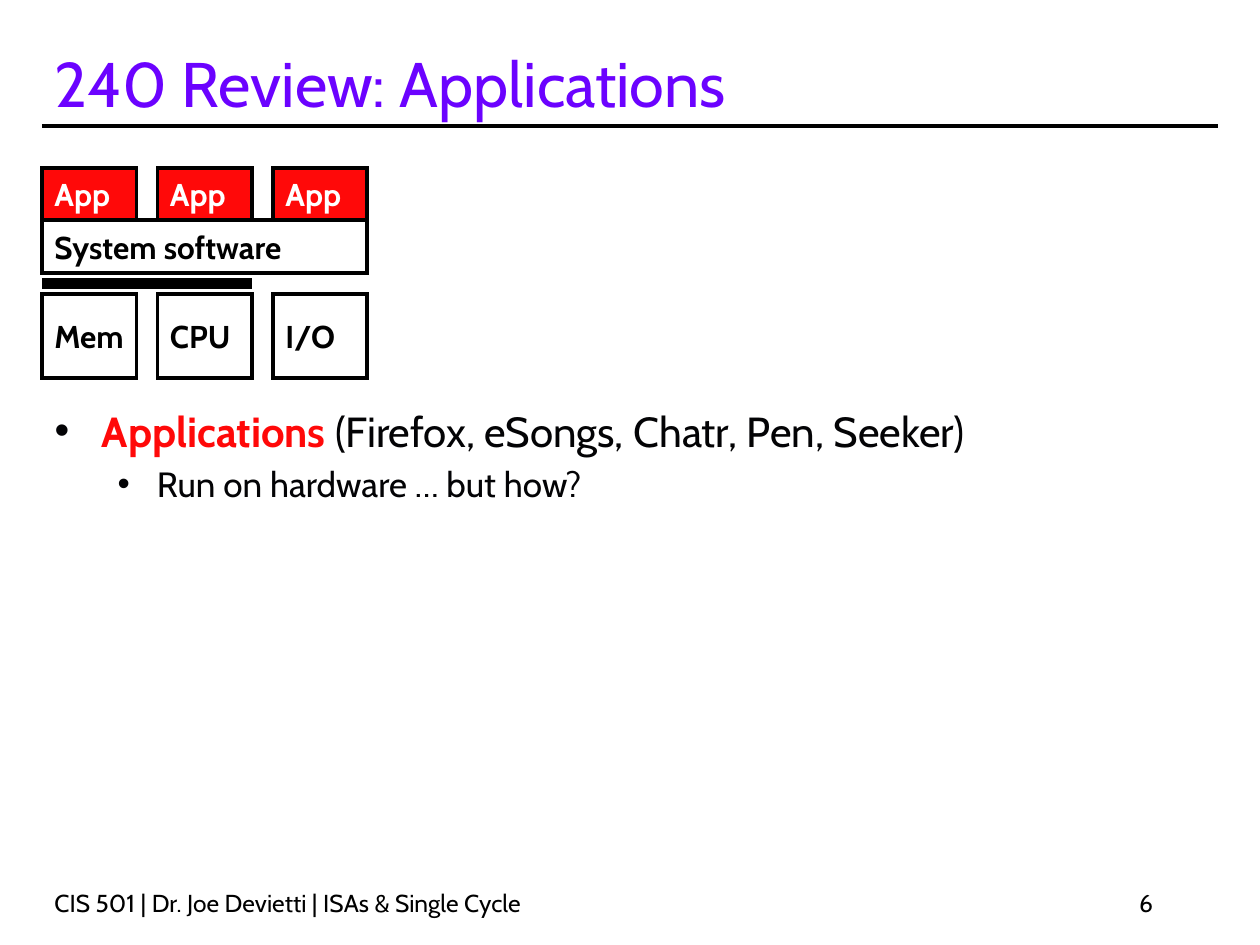
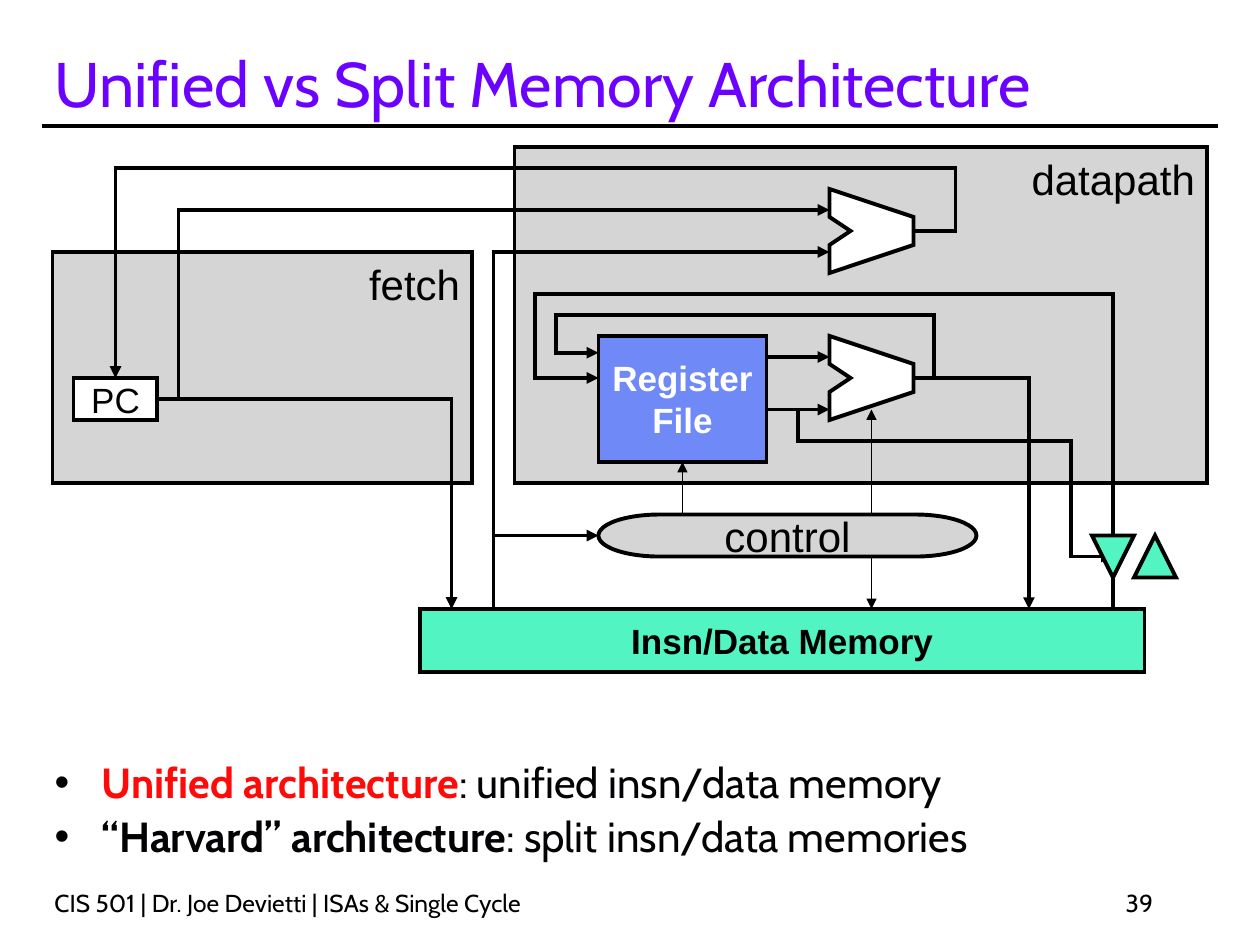
from lxml.etree import SubElement
from pptx import Presentation
from pptx.dml.color import RGBColor
from pptx.enum.shapes import MSO_CONNECTOR, MSO_SHAPE as SHAPE
from pptx.enum.text import MSO_ANCHOR as ANCHOR, MSO_AUTO_SIZE as FIT, PP_ALIGN as ALIGN
from pptx.oxml.ns import qn
from pptx.util import Cm, Pt

BLACK = RGBColor(0x00, 0x00, 0x00)
INK = RGBColor(0x03, 0x03, 0x05)
WHITE = RGBColor(0xFF, 0xFF, 0xFF)
RED = RGBColor(0xFF, 0x09, 0x09)
PURPLE = RGBColor(0x6B, 0x02, 0xFF)
GREY = RGBColor(0xD5, 0xD5, 0xD5)
BLUE = RGBColor(0x6F, 0x89, 0xF7)
GREEN = RGBColor(0x52, 0xF4, 0xC2)
SANS = "Cabin"
PLAIN = "Arial"
STROKE = 2.25
FOOTER = "CIS 501 | Dr. Joe Devietti | ISAs & Single Cycle"


def unit(count):
    """Turn grid steps, twelve to the inch, into a length."""
    return Cm(count * 2.54 / 12)


def place(item, left, top, width, height):
    """Move and size an item on the grid."""
    item.left, item.top = unit(left), unit(top)
    item.width, item.height = unit(width), unit(height)


def dot(para, level):
    """Give a paragraph its bullet and hanging indent."""
    props = para._p.get_or_add_pPr()
    left, hang = ((0.95, 0.95), (2.06, 0.79))[level]
    props.set("marL", str(Cm(left)))
    props.set("indent", str(-Cm(hang)))
    tint = SubElement(props, qn("a:buClr"))
    SubElement(tint, qn("a:srgbClr"), val=str(INK))
    SubElement(props, qn("a:buFont"), typeface=PLAIN)
    SubElement(props, qn("a:buChar"), char="•")


def write(item, *rows, size=18, font=SANS, tint=BLACK, bold=False,
          align=ALIGN.LEFT, anchor=ANCHOR.MIDDLE, wrap=True, levels=None, pitch=None):
    """Fill an item with rows, each a string or a list of (text, tint, bold)."""
    frame = item.text_frame
    frame.auto_size = FIT.NONE
    frame.word_wrap = wrap
    frame.vertical_anchor = anchor
    for index, row in enumerate(rows):
        para = frame.add_paragraph() if index else frame.paragraphs[0]
        level = levels[index] if levels else 0
        para.level = level
        para.alignment = align
        para.line_spacing = pitch
        points = size - 4 * level
        para.space_before = Pt(points / 5 if levels and index else 0)
        if levels:
            dot(para, level)
        for words, shade, heavy in [(row, tint, bold)] if isinstance(row, str) else row:
            run = para.add_run()
            run.text = words
            run.font.name, run.font.size = font, Pt(points)
            run.font.bold, run.font.color.rgb = heavy, shade


def ink(item, weight=STROKE, arrow=False):
    """Set a black outline with sharp corners and an optional arrowhead."""
    item.line.color.rgb = BLACK
    item.line.width = Pt(weight)
    stroke = item._element.spPr.find(qn("a:ln"))
    SubElement(stroke, qn("a:miter"), lim="800000")
    if arrow:
        SubElement(stroke, qn("a:tailEnd"), type="triangle")


def paint(item, fill=None, arrow=False):
    """Fill and outline a shape without a shadow."""
    item.shadow.inherit = False
    if fill is None:
        item.fill.background()
    else:
        item.fill.solid()
        item.fill.fore_color.rgb = fill
    ink(item, arrow=arrow)


def block(slide, left, top, width, height, *rows, fill=WHITE, kind=SHAPE.RECTANGLE, **style):
    """Draw a preset shape with optional text."""
    item = slide.shapes.add_shape(kind, *map(unit, (left, top, width, height)))
    paint(item, fill)
    if rows:
        write(item, *rows, wrap=False, **style)
    return item


def label(slide, left, top, width, height, words, **style):
    """Add a plain text box."""
    item = slide.shapes.add_textbox(*map(unit, (left, top, width, height)))
    write(item, words, **style)


def line(slide, start, end, weight=STROKE, arrow=False):
    """Draw a straight connector between two grid points."""
    item = slide.shapes.add_connector(MSO_CONNECTOR.STRAIGHT, *map(unit, start + end))
    ink(item, weight, arrow)
    SubElement(item._element.spPr, qn("a:effectLst"))
    return item


def trace(slide, points, closed=False):
    """Draw a closed outline, or an open wire that ends in an arrow."""
    spots = [(unit(x), unit(y)) for x, y in points]
    pen = slide.shapes.build_freeform(*spots[0])
    pen.add_line_segments(spots[1:], close=closed)
    paint(pen.convert_to_shape(), WHITE if closed else None, arrow=not closed)


def adder(slide, left, top):
    """Draw a notched logic unit."""
    steps = ((0, 0), (8, 8 / 3), (8, 16 / 3), (0, 8), (0, 16 / 3), (2, 4), (0, 8 / 3))
    trace(slide, [(left + x, top + y) for x, y in steps], closed=True)


def start(deck, title, number, area, *rows, **style):
    """Add a slide with its title, rule, list and footer."""
    slide = deck.slides.add_slide(deck.slide_layouts[1])
    head, body = slide.placeholders
    place(head, 4, 3, 112, 9)
    write(head, title, size=36, tint=PURPLE, anchor=ANCHOR.BOTTOM)
    place(body, *area)
    write(body, *rows, size=24, tint=INK, anchor=ANCHOR.TOP, **style)
    line(slide, (4, 12), (116, 12))
    label(slide, 4, 84, 75, 4, FOOTER, size=14, anchor=ANCHOR.BOTTOM)
    label(slide, 86, 84, 25, 4, number, size=14, anchor=ANCHOR.BOTTOM, align=ALIGN.RIGHT)
    return slide


def review(deck):
    """Build the slide on applications and the layers below them."""
    slide = start(
        deck, "240 Review: Applications", "6", (4, 38, 116, 44),
        [("Applications ", RED, True), ("(Firefox, eSongs, Chatr, Pen, Seeker)", INK, False)],
        "Run on hardware … but how?", levels=(0, 1))
    line(slide, (4, 27), (24, 27), weight=6)
    for index, part in enumerate(("Mem", "CPU", "I/O")):
        left = 4 + 11 * index
        block(slide, left, 28, 9, 8, part, bold=True)
        block(slide, left, 16, 9, 5, "App", fill=RED, tint=WHITE, bold=True)
    block(slide, 4, 21, 31, 5, "System software", bold=True)


def memory(deck):
    """Build the slide on unified and split memory."""
    slide = start(
        deck, "Unified vs Split Memory Architecture", "39", (4, 72, 112, 13),
        [("Unified architecture", RED, True), (": unified insn/data memory", INK, False)],
        [("“Harvard” architecture", INK, True), (": split insn/data memories", INK, False)],
        levels=(0, 0), pitch=0.9)
    style = dict(font=PLAIN, size=20, align=ALIGN.CENTER)
    large = dict(style, size=24)
    block(slide, 5, 24, 40, 22, fill=GREY)
    block(slide, 49, 14, 66, 32, fill=GREY)
    for left, top, width, words in ((90, 14, 25, "datapath"), (30, 24, 15, "fetch")):
        label(slide, left, top, width, 6, words, font=PLAIN, size=24,
              align=ALIGN.RIGHT, anchor=ANCHOR.TOP)
    block(slide, 7, 36, 8, 4, "PC", **style)
    file = block(slide, 57, 32, 16, 12, "Register", "File",
                 fill=BLUE, tint=WHITE, bold=True, **style)
    block(slide, 40, 58, 69, 6, "Insn/Data Memory", fill=GREEN, bold=True, **style)
    control = block(slide, 57, 49, 36, 4, "control", fill=GREY,
                    kind=SHAPE.FLOWCHART_TERMINATOR, **large)
    for top in (18, 32):
        adder(slide, 79, top)

    for wire in (
        ((17, 38), (17, 20), (79, 20)),
        ((47, 58), (47, 24), (79, 24)),
        ((87, 22), (91, 22), (91, 16), (11, 16), (11, 36)),
        ((89, 36), (89, 30), (53, 30), (53, 33.6), (57, 33.6)),
        ((87, 36), (98, 36), (98, 58)),
        ((15, 38), (43, 38), (43, 58)),
        ((106, 58), (106, 28), (51, 28), (51, 36), (57, 36)),
        ((76, 39), (76, 42), (102, 42), (102, 53), (106, 53)),
    ):
        trace(slide, wire)
    for row in (34, 39):
        line(slide, (73, row), (79, row), arrow=True)
    for first, last in ((49, 39), (53, 58)):
        line(slide, (83, first), (83, last), weight=1, arrow=True)
    line(slide, (65, 49), (65, 44), weight=1, arrow=True).end_connect(file, 2)
    line(slide, (47, 51), (57, 51), arrow=True).end_connect(control, 1)

    gate = block(slide, 104, 51, 4, 4, fill=GREEN, kind=SHAPE.ISOSCELES_TRIANGLE)
    gate.rotation = 180
    block(slide, 108, 51, 4, 4, fill=GREEN, kind=SHAPE.ISOSCELES_TRIANGLE)


def main():
    """Build and save the deck."""
    deck = Presentation()
    deck.slide_width, deck.slide_height = unit(120), unit(90)
    review(deck)
    memory(deck)
    deck.save("out.pptx")


if __name__ == "__main__":
    main()
